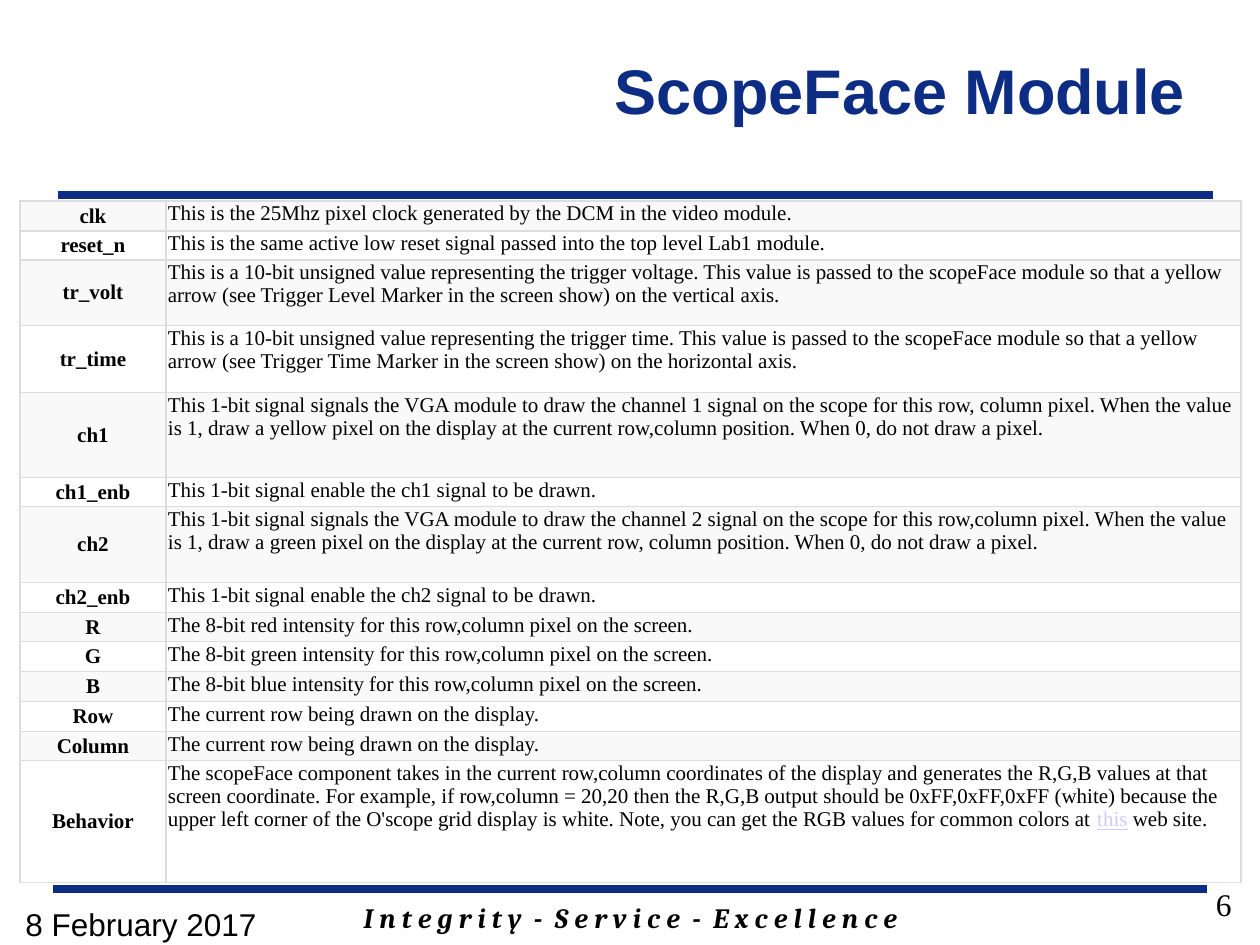
from pptx import Presentation
from pptx.dml.color import RGBColor
from pptx.enum.shapes import MSO_CONNECTOR
from pptx.enum.text import MSO_ANCHOR, PP_ALIGN
from pptx.oxml.ns import qn
from pptx.util import Emu, Pt
from lxml import etree

LEFT, CENTER, RIGHT = PP_ALIGN.LEFT, PP_ALIGN.CENTER, PP_ALIGN.RIGHT
TOP, MIDDLE = MSO_ANCHOR.TOP, MSO_ANCHOR.MIDDLE
STRAIGHT = MSO_CONNECTOR.STRAIGHT

NAVY = RGBColor(0x0C, 0x2D, 0x83)
BLACK = RGBColor(0, 0, 0)
WHITE = RGBColor(0xFF, 0xFF, 0xFF)
PALE_GRAY = RGBColor(0xF9, 0xF9, 0xF9)
BORDER_GRAY = RGBColor(0xDD, 0xDD, 0xDD)
LINK_LILAC = RGBColor(0xCC, 0xCC, 0xFF)

SANS, SERIF, MOTTO = "Arial", "Times New Roman", "Cambria"
EMU_PER_PIXEL = 914400 / 126


def px(length):
    return Emu(round(length * EMU_PER_PIXEL))


class SlideBuilder:
    def __init__(self, presentation):
        self.slide = presentation.slides.add_slide(presentation.slide_layouts[5])

    def format_runs(self, paragraph, size, font=SERIF, color=BLACK,
                    bold=False, italic=False, align=LEFT):
        paragraph.alignment = align
        for run in paragraph.runs:
            run.font.size = Pt(size)
            run.font.name = font
            run.font.color.rgb = color
            run.font.bold = bold
            run.font.italic = italic

    def title(self, text, left, top, width, height):
        shape = self.slide.shapes.title
        shape.left, shape.top = px(left), px(top)
        shape.width, shape.height = px(width), px(height)
        shape.text_frame.text = text
        shape.text_frame.vertical_anchor = MIDDLE
        self.format_runs(shape.text_frame.paragraphs[0], 36, SANS, NAVY,
                         bold=True, align=RIGHT)

    def rule(self, left, right, y):
        line = self.slide.shapes.add_connector(
            STRAIGHT, px(left), px(y), px(right), px(y))
        line.line.color.rgb = NAVY
        line.line.width = Pt(4.5)
        etree.SubElement(line._element.spPr, qn("a:effectLst"))

    def text(self, text, left, top, width, height, size, inset_top=6, **style):
        shape = self.slide.shapes.add_textbox(
            px(left), px(top), px(width), px(height))
        frame = shape.text_frame
        frame.word_wrap = True
        frame.margin_top = px(inset_top)
        frame.margin_bottom = 0
        frame.text = text
        self.format_runs(frame.paragraphs[0], size, **style)

    def cell_borders(self, cell):
        properties = cell._tc.get_or_add_tcPr()
        for index, side in enumerate(("lnL", "lnR", "lnT", "lnB")):
            border = etree.Element(qn("a:" + side), w=str(Pt(0.75)))
            fill = etree.SubElement(border, qn("a:solidFill"))
            etree.SubElement(fill, qn("a:srgbClr"), val=str(BORDER_GRAY))
            properties.insert(index, border)

    def table(self, rows, left, top, column_widths):
        height = sum(row[0] for row in rows)
        table = self.slide.shapes.add_table(
            len(rows), len(column_widths), px(left), px(top),
            px(sum(column_widths)), px(height)).table
        table.first_row = table.horz_banding = False
        for column, width in zip(table.columns, column_widths):
            column.width = px(width)
        for index, (row_height, name, *parts) in enumerate(rows):
            table.rows[index].height = px(row_height)
            name_cell, description_cell = table.rows[index].cells
            name_cell.text_frame.text = name
            paragraph = description_cell.text_frame.paragraphs[0]
            for part in parts:
                paragraph.add_run().text = part
            for cell in (name_cell, description_cell):
                is_name = cell is name_cell
                cell.margin_left = cell.margin_right = px(2)
                cell.margin_top = cell.margin_bottom = px(1)
                cell.vertical_anchor = MIDDLE if is_name else TOP
                cell.fill.solid()
                cell.fill.fore_color.rgb = WHITE if index % 2 else PALE_GRAY
                self.cell_borders(cell)
                self.format_runs(cell.text_frame.paragraphs[0], 12, bold=is_name,
                                 align=CENTER if is_name else LEFT)
        return table


# Height in pixels, signal name, description in one or more runs
SIGNALS = [
    (30, "clk", "This is the 25Mhz pixel clock generated by the DCM in the video module."),
    (29, "reset_n", "This is the same active low reset signal passed into the top level "
     "Lab1 module."),
    (66, "tr_volt", "This is a 10-bit unsigned value representing the trigger voltage. "
     "This value is passed to the scopeFace module so that a yellow arrow "
     "(see Trigger Level Marker in the screen show) on the vertical axis."),
    (67, "tr_time", "This is a 10-bit unsigned value representing the trigger time. "
     "This value is passed to the scopeFace module so that a yellow arrow "
     "(see Trigger Time Marker in the screen show) on the horizontal axis."),
    (85, "ch1", "This 1-bit signal signals the VGA module to draw the channel 1 signal "
     "on the scope for this row, column pixel. When the value is 1, draw a yellow pixel "
     "on the display at the current row,column position. When 0, do not draw a pixel."),
    (29, "ch1_enb", "This 1-bit signal enable the ch1 signal to be drawn."),
    (76, "ch2", "This 1-bit signal signals the VGA module to draw the channel 2 signal "
     "on the scope for this row,column pixel. When the value is 1, draw a green pixel "
     "on the display at the current row, column position. When 0, do not draw a pixel."),
    (30, "ch2_enb", "This 1-bit signal enable the ch2 signal to be drawn."),
    (29, "R", "The 8-bit red intensity for this row,column pixel on the screen."),
    (30, "G", "The 8-bit green intensity for this row,column pixel on the screen."),
    (30, "B", "The 8-bit blue intensity for this row,column pixel on the screen."),
    (30, "Row", "The current row being drawn on the display."),
    (29, "Column", "The current row being drawn on the display."),
    (122, "Behavior", "The scopeFace component takes in the current row,column coordinates "
     "of the display and generates the R,G,B values at that screen coordinate. For example, "
     "if row,column = 20,20 then the R,G,B output should be 0xFF,0xFF,0xFF (white) because "
     "the upper left corner of the O'scope grid display is white. Note, you can get the RGB "
     "values for common colors at\u00a0", "this", "\u00a0web site."),
]

presentation = Presentation()
presentation.slide_width, presentation.slide_height = px(1260), px(945)
builder = SlideBuilder(presentation)

# Rules and motto
builder.rule(53, 1207, 889)
builder.rule(58, 1213, 195)
builder.text("I n t e g r i t y  -  S e r v i c e  -  E x c e l l e n c e",
             179, 895, 903, 47, 16, font=MOTTO, bold=True, italic=True, align=CENTER)

# Title
builder.title("ScopeFace Module", 263, 10, 935, 158)

# Signal table, with the link word marked in the last row
signal_table = builder.table(SIGNALS, 20, 201, (146, 1075))
link_run = signal_table.cell(len(SIGNALS) - 1, 1).text_frame.paragraphs[0].runs[1]
link_run.font.color.rgb = LINK_LILAC
link_run.font.underline = True

# Page number and date
builder.text("6", 950, 879, 294, 65, 18, align=RIGHT)
builder.text("8 February 2017", 13, 863, 294, 65, 18, inset_top=47, font=SANS)

presentation.save("out.pptx")
